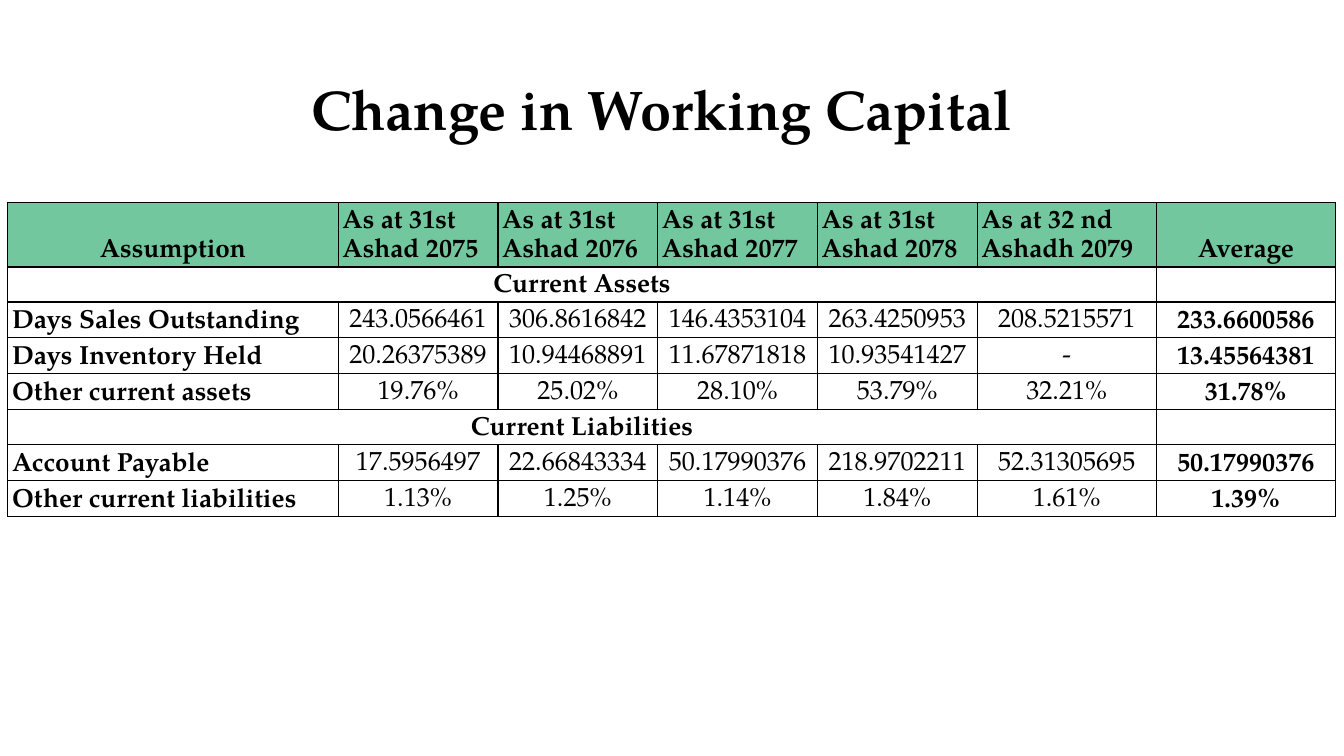
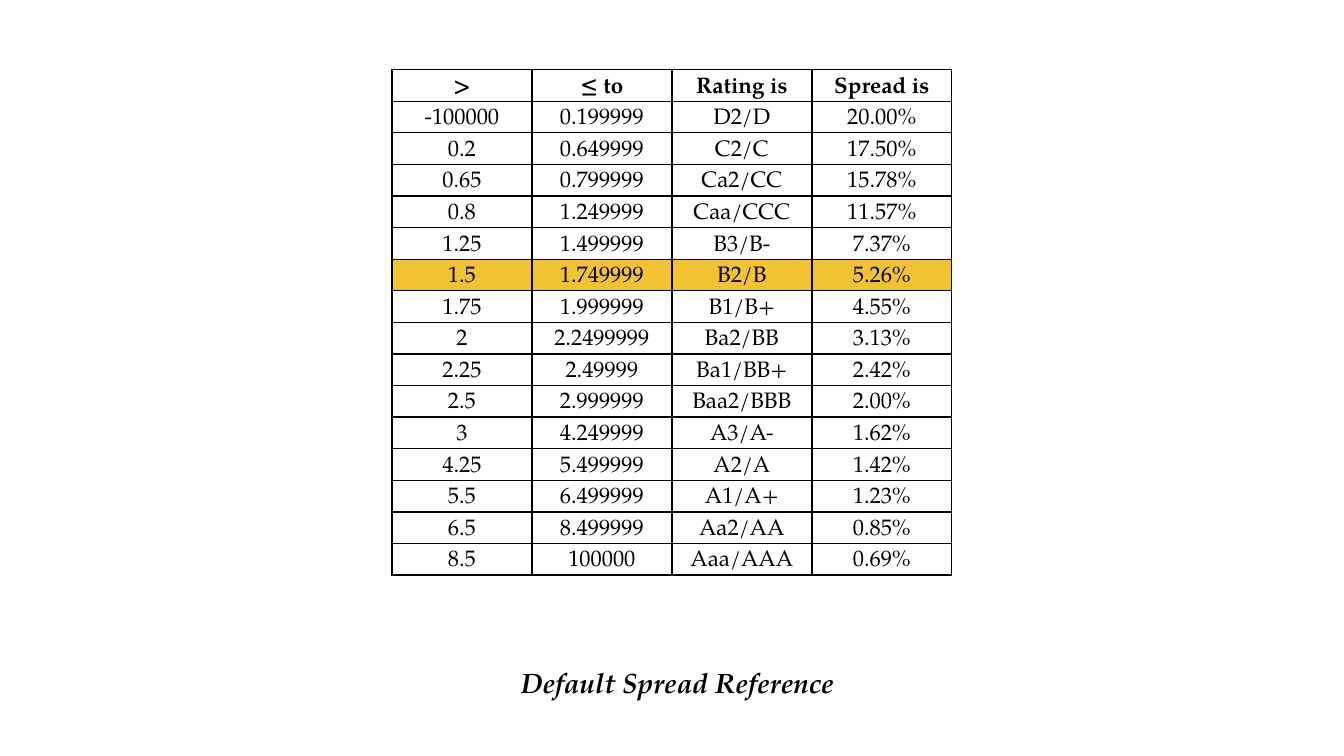
import pptx
import pptx.util
import pptx.dml.color
import pptx.enum.text
import pptx.oxml.ns
from lxml import etree

Pt = pptx.util.Pt
ALIGN = pptx.enum.text.PP_ALIGN
ANCHOR = pptx.enum.text.MSO_ANCHOR

FONT = "TeX Gyre Pagella"
COLORS = {"ink": "000000", "header": "73C79E", "highlight": "F1C232", "paper": "FFFFFF"}

CAPITAL_TITLE = "Change in Working Capital"
CAPITAL_WIDTHS = [177, 85.6, 85.6, 85.6, 85.6, 96, 96]
CAPITAL_ROWS = [
    ["Assumption", "As at 31st Ashad 2075", "As at 31st Ashad 2076", "As at 31st Ashad 2077",
     "As at 31st Ashad 2078", "As at 32 nd Ashadh 2079", "Average"],
    ["Current Assets"],
    ["Days Sales Outstanding", "243.0566461", "306.8616842", "146.4353104",
     "263.4250953", "208.5215571", "233.6600586"],
    ["Days Inventory Held", "20.26375389", "10.94468891", "11.67871818",
     "10.93541427", "-", "13.45564381"],
    ["Other current assets", "19.76%", "25.02%", "28.10%", "53.79%", "32.21%", "31.78%"],
    ["Current Liabilities"],
    ["Account Payable", "17.5956497", "22.66843334", "50.17990376",
     "218.9702211", "52.31305695", "50.17990376"],
    ["Other current liabilities", "1.13%", "1.25%", "1.14%", "1.84%", "1.61%", "1.39%"],
]

SPREAD_CAPTION = "Default Spread Reference"
SPREAD_WIDTHS = [75] * 4
CURRENT_RATING = "B2/B"
SPREAD_ROWS = [
    [">", "≤ to", "Rating is", "Spread is"],
    ["-100000", "0.199999", "D2/D", "20.00%"],
    ["0.2", "0.649999", "C2/C", "17.50%"],
    ["0.65", "0.799999", "Ca2/CC", "15.78%"],
    ["0.8", "1.249999", "Caa/CCC", "11.57%"],
    ["1.25", "1.499999", "B3/B-", "7.37%"],
    ["1.5", "1.749999", "B2/B", "5.26%"],
    ["1.75", "1.999999", "B1/B+", "4.55%"],
    ["2", "2.2499999", "Ba2/BB", "3.13%"],
    ["2.25", "2.49999", "Ba1/BB+", "2.42%"],
    ["2.5", "2.999999", "Baa2/BBB", "2.00%"],
    ["3", "4.249999", "A3/A-", "1.62%"],
    ["4.25", "5.499999", "A2/A", "1.42%"],
    ["5.5", "6.499999", "A1/A+", "1.23%"],
    ["6.5", "8.499999", "Aa2/AA", "0.85%"],
    ["8.5", "100000", "Aaa/AAA", "0.69%"],
]


def rgb(name):
    return pptx.dml.color.RGBColor.from_string(COLORS[name])


def set_font(paragraph, size, bold=False, italic=False):
    font = paragraph.font
    font.name, font.size, font.bold, font.italic = FONT, Pt(size), bold, italic
    font.color.rgb = rgb("ink")


def add_heading(page, text, left, top, width, height, size, italic=False):
    box = page.shapes.add_textbox(Pt(left), Pt(top), Pt(width), Pt(height))
    frame = box.text_frame
    frame.word_wrap = True
    frame.auto_size = pptx.enum.text.MSO_AUTO_SIZE.SHAPE_TO_FIT_TEXT
    frame.margin_left = frame.margin_right = frame.margin_top = frame.margin_bottom = Pt(7.2)
    paragraph = frame.paragraphs[0]
    paragraph.text = text
    paragraph.alignment = ALIGN.CENTER
    set_font(paragraph, size, True, italic)


def add_borders(cell, width):
    properties = cell._tc.get_or_add_tcPr()
    qn = pptx.oxml.ns.qn
    for side in ("a:lnL", "a:lnR", "a:lnT", "a:lnB"):
        line = etree.SubElement(properties, qn(side), w=str(Pt(width)))
        fill = etree.SubElement(line, qn("a:solidFill"))
        etree.SubElement(fill, qn("a:srgbClr"), val=COLORS["ink"])


def add_grid(page, left, top, widths, rows, row_height, size, spacing, border, style):
    """Add a table; style(row, column) gives bold, fill, alignment and anchor.

    A row with a single text is a section row, merged up to the last column.
    """
    frame = page.shapes.add_table(len(rows), len(widths), Pt(left), Pt(top),
                                  Pt(sum(widths)), Pt(row_height * len(rows)))
    table = frame.table
    table.first_row = table.horz_banding = False
    for column, width in zip(table.columns, widths):
        column.width = Pt(width)
    for r, texts in enumerate(rows):
        table.rows[r].height = Pt(row_height)
        for c in range(len(widths)):
            cell = table.cell(r, c)
            bold, fill, alignment, anchor = style(r, c)
            add_borders(cell, border)
            if fill:
                cell.fill.solid()
                cell.fill.fore_color.rgb = rgb(fill)
            else:
                cell.fill.background()
            cell.margin_left = cell.margin_right = Pt(2.25)
            cell.margin_top = cell.margin_bottom = Pt(1.5)
            cell.vertical_anchor = anchor
            paragraph = cell.text_frame.paragraphs[0]
            paragraph.alignment = alignment
            paragraph.line_spacing = spacing
            set_font(paragraph, size, bold)
            if c < len(texts):
                paragraph.text = texts[c]
            else:  # keeps an empty cell from stretching its row
                etree.SubElement(paragraph._p, pptx.oxml.ns.qn("a:endParaRPr"),
                                 sz=str(size * 100))
        if len(texts) == 1:
            table.cell(r, 0).merge(table.cell(r, len(widths) - 2))


def capital_style(r, c):
    last = len(CAPITAL_WIDTHS) - 1
    if r == 0:
        if 0 < c < last:
            return True, "header", ALIGN.LEFT, ANCHOR.TOP
        return True, "header", ALIGN.CENTER, ANCHOR.BOTTOM
    is_label = c == 0 and len(CAPITAL_ROWS[r]) > 1
    return (c in (0, last), "paper" if c == last else None,
            ALIGN.LEFT if is_label else ALIGN.CENTER, ANCHOR.BOTTOM)


def spread_style(r, c):
    fill = "highlight" if CURRENT_RATING in SPREAD_ROWS[r] else None
    return r == 0, fill, ALIGN.CENTER, ANCHOR.BOTTOM


def add_page(deck):
    page = deck.slides.add_slide(deck.slide_layouts[6])
    page.background.fill.solid()
    page.background.fill.fore_color.rgb = rgb("paper")
    return page


def main():
    deck = pptx.Presentation()
    deck.slide_width, deck.slide_height = Pt(720), Pt(405)

    page = add_page(deck)
    add_grid(page, 4.2, 108.6, CAPITAL_WIDTHS, CAPITAL_ROWS, 16, 14, 1.15, 0.75, capital_style)
    add_heading(page, CAPITAL_TITLE, 143.2, 32.7, 423, 51, 30)

    page = add_page(deck)
    add_grid(page, 210, 37.3, SPREAD_WIDTHS, SPREAD_ROWS, 16.93, 12, 0.96, 0.8, spread_style)
    add_heading(page, SPREAD_CAPTION, 209.5, 349.4, 307, 32.5, 15, italic=True)

    deck.save("out.pptx")


if __name__ == "__main__":
    main()
